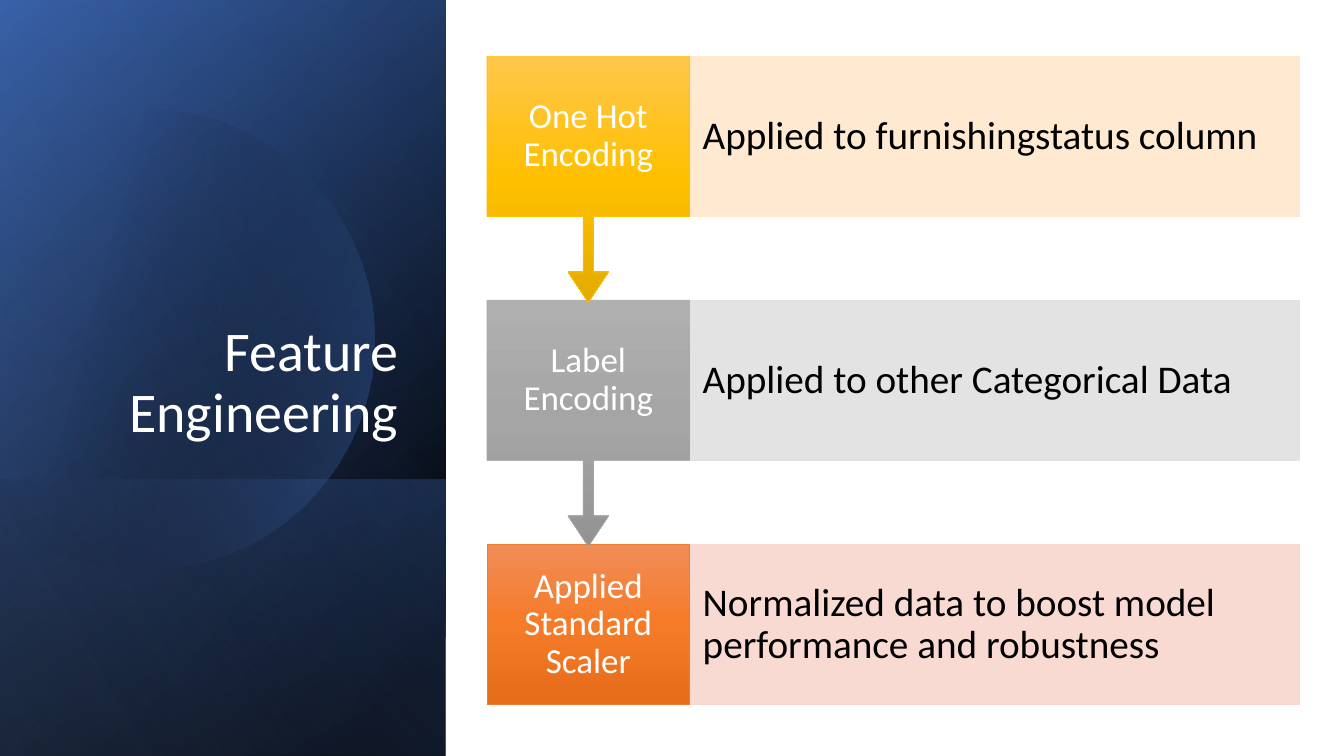
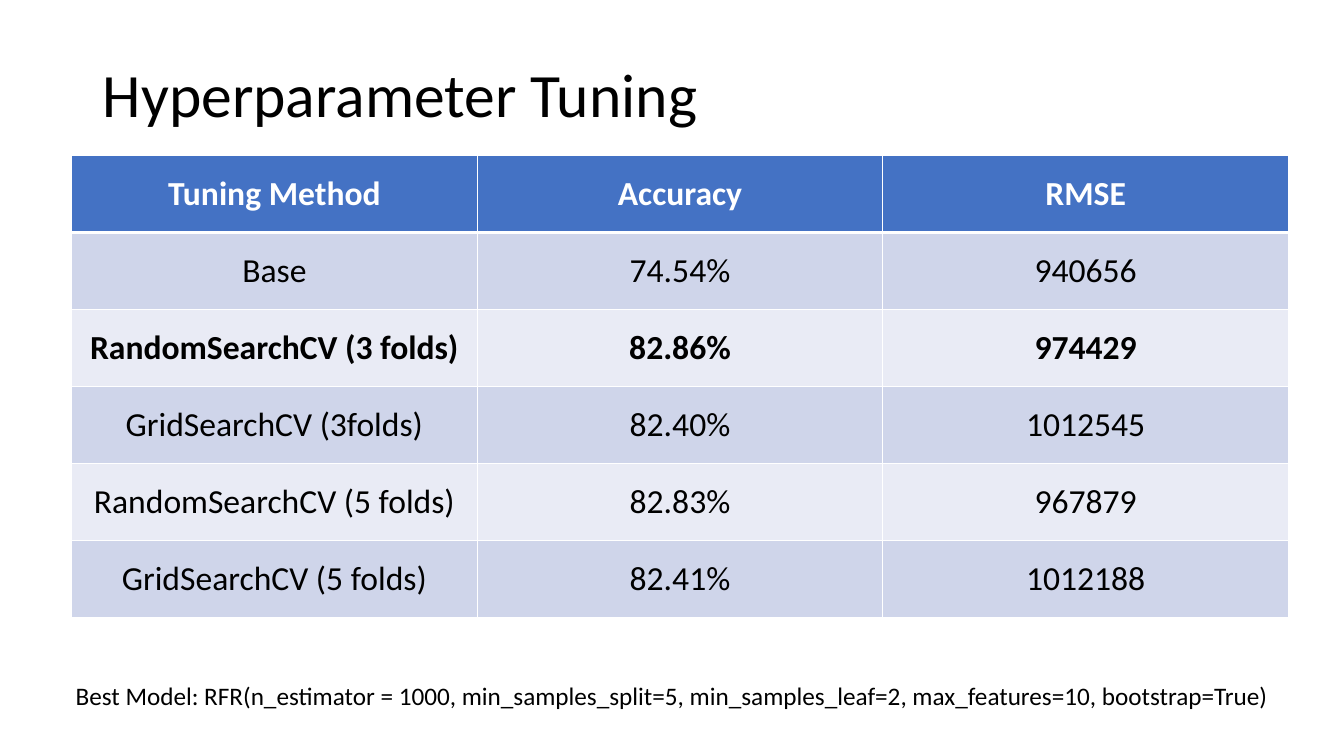
from dataclasses import dataclass
from math import acos, cos, sin

from lxml import etree
from pptx import Presentation
from pptx.dml.color import RGBColor
from pptx.enum.shapes import MSO_SHAPE
from pptx.enum.text import MSO_ANCHOR, MSO_AUTO_SIZE, PP_ALIGN
from pptx.oxml import parse_xml
from pptx.oxml.ns import nsdecls, qn
from pptx.shapes.autoshape import Shape
from pptx.slide import Slide
from pptx.table import _Cell
from pptx.text.text import TextFrame
from pptx.util import Inches, Pt

RECTANGLE = MSO_SHAPE.RECTANGLE
DOWN_CALLOUT = MSO_SHAPE.DOWN_ARROW_CALLOUT
LEFT, CENTER, RIGHT = PP_ALIGN.LEFT, PP_ALIGN.CENTER, PP_ALIGN.RIGHT
TOP, MIDDLE, BOTTOM = MSO_ANCHOR.TOP, MSO_ANCHOR.MIDDLE, MSO_ANCHOR.BOTTOM
NO_FIT = MSO_AUTO_SIZE.NONE

FONT = "Calibri"
BLACK, WHITE, BLUE = "000000", "FFFFFF", "4472C4"
BANDS = ("CFD5EA", "E9EBF5")
TITLE_ONLY = 5


@dataclass(frozen=True)
class Stop:
    position: int
    color: str
    alpha: int = 100


@dataclass(frozen=True)
class Panel:
    left: float
    top: float
    width: float
    height: float
    angle: int
    stops: tuple[Stop, ...]


@dataclass(frozen=True)
class Step:
    label: str
    detail: str
    shades: tuple[str, str, str]
    line: str
    tint: str


@dataclass(frozen=True)
class TextStyle:
    size: int
    color: str = BLACK
    align: PP_ALIGN = LEFT
    anchor: MSO_ANCHOR = MIDDLE
    spacing: float = 1.0
    bold: bool = False
    inset_x: float = 0.1
    inset_y: float = 0.05


PANELS = (
    Panel(-1.54, 1.54, 7.5, 4.42, 50, (Stop(8, BLACK), Stop(100, "2F5597"))),
    Panel(-1.54, 1.54, 7.5, 4.42, 30, (Stop(0, BLACK, 0), Stop(99, BLUE, 46))),
    Panel(0.84, 3.92, 2.74, 4.42, 130, (Stop(2, BLUE, 29), Stop(100, BLACK, 30))),
)
SHEEN = Panel(-1.54, 1.54, 7.5, 4.42, 120, (Stop(0, BLACK, 0), Stop(99, "8FAADC", 11)))
DISC_STOPS = (Stop(29, BLACK, 0), Stop(100, BLUE, 43))

STEPS = (
    Step("One Hot Encoding", "Applied to furnishingstatus column",
         ("FFC64B", "FFC000", "E3AB00"), "FFC000", "FFE8CC"),
    Step("Label Encoding", "Applied to other Categorical Data",
         ("AFAFAF", "A5A5A5", "939393"), "A5A5A5", "E1E1E1"),
    Step("Applied Standard Scaler", "Normalized data to boost model performance and robustness",
         ("F18C57", "F67B28", "E56C19"), "ED7D31", "F8D7CE"),
)
STEP_TOP, STEP_PITCH, STEP_HEIGHT, CALLOUT_HEIGHT = 0.56, 2.42, 1.59, 2.44
LABEL_LEFT, LABEL_WIDTH, DETAIL_LEFT, DETAIL_WIDTH = 4.83, 2.01, 6.85, 6.04
CALLOUT_SHAPE = (0.05, 0.1, 0.15, 0.65)

RESULTS = (
    ("Tuning Method", "Accuracy", "RMSE"),
    ("Base", "74.54%", "940656"),
    ("RandomSearchCV (3 folds)", "82.86%", "974429"),
    ("GridSearchCV (3folds)", "82.40%", "1012545"),
    ("RandomSearchCV (5 folds)", "82.83%", "967879"),
    ("GridSearchCV (5 folds)", "82.41%", "1012188"),
)
BEST_ROW = 2
BEST_MODEL = ("Best Model: RFR(n_estimator = 1000, min_samples_split=5, "
              "min_samples_leaf=2, max_features=10, bootstrap=True)")

LABEL_STYLE = TextStyle(25, WHITE, CENTER, spacing=0.9, inset_x=0.14, inset_y=0.19)
DETAIL_STYLE = TextStyle(28, spacing=0.9, inset_x=0.12, inset_y=0.39)


def rgb(color: str) -> RGBColor:
    return RGBColor.from_string(color)


def write(frame: TextFrame, text: str, style: TextStyle) -> None:
    frame.word_wrap = True
    frame.auto_size = NO_FIT
    frame.vertical_anchor = style.anchor
    frame.margin_left = frame.margin_right = Inches(style.inset_x)
    frame.margin_top = frame.margin_bottom = Inches(style.inset_y)
    write_line(frame, text, style)


def write_line(frame: TextFrame, text: str, style: TextStyle) -> None:
    para = frame.paragraphs[0]
    para.alignment = style.align
    para.line_spacing = style.spacing
    span = para.add_run()
    span.text = text
    span.font.name = FONT
    span.font.size = Pt(style.size)
    span.font.bold = style.bold
    span.font.color.rgb = rgb(style.color)


def add_color(parent: etree._Element, color: str, alpha: int) -> None:
    node = etree.SubElement(parent, qn("a:srgbClr"), val=color)
    if alpha < 100:
        etree.SubElement(node, qn("a:alpha"), val=str(alpha * 1000))


def paint(shape: Shape, stops: tuple[Stop, ...], angle: int = 90) -> None:
    shape.fill.background()
    properties = shape.element.spPr
    if len(stops) == 1:
        fill = parse_xml(f"<a:solidFill {nsdecls('a')}/>")
        add_color(fill, stops[0].color, stops[0].alpha)
    else:
        fill = parse_xml(f'<a:gradFill {nsdecls("a")} rotWithShape="1"/>')
        stop_list = etree.SubElement(fill, qn("a:gsLst"))
        for stop in stops:
            node = etree.SubElement(stop_list, qn("a:gs"), pos=str(stop.position * 1000))
            add_color(node, stop.color, stop.alpha)
        etree.SubElement(fill, qn("a:lin"), ang=str(angle * 60000), scaled="0")
    properties.replace(properties.find(qn("a:noFill")), fill)


def outline(shape: Shape, color: str | None = None) -> None:
    shape.shadow.inherit = False
    if color is None:
        shape.line.fill.background()
    else:
        shape.line.color.rgb = rgb(color)
        shape.line.width = Pt(0.5)


def add_box(page: Slide, kind: MSO_SHAPE, left: float, top: float,
            width: float, height: float, line: str | None = None) -> Shape:
    box = page.shapes.add_shape(kind, Inches(left), Inches(top), Inches(width), Inches(height))
    outline(box, line)
    return box


def add_panel(page: Slide, panel: Panel) -> None:
    box = add_box(page, RECTANGLE, panel.left, panel.top, panel.width, panel.height)
    box.rotation = 90
    box.element.spPr.find(qn("a:xfrm")).set("flipH", "1")
    paint(box, panel.stops, panel.angle)


def add_disc(page: Slide) -> None:
    center_x, center_y, radius, segments = 1.42, 3.37, 2.29, 120
    reach = acos(-center_x / radius)
    angles = [reach * (2 * index / segments - 1) for index in range(segments + 1)]
    points = [(Inches(center_x + radius * cos(angle)), Inches(center_y + radius * sin(angle)))
              for angle in angles]
    builder = page.shapes.build_freeform(*points[0])
    builder.add_line_segments(points[1:], close=True)
    disc = builder.convert_to_shape()
    outline(disc)
    paint(disc, DISC_STOPS, 14)


def add_title(page: Slide, text: str, left: float, top: float, width: float,
              height: float, style: TextStyle) -> None:
    title = page.shapes.title
    title.left, title.top = Inches(left), Inches(top)
    title.width, title.height = Inches(width), Inches(height)
    write(title.text_frame, text, style)
    title.element.getparent().append(title.element)


def add_step(page: Slide, step: Step, top: float, last: bool) -> None:
    kind, height = (RECTANGLE, STEP_HEIGHT) if last else (DOWN_CALLOUT, CALLOUT_HEIGHT)
    label = add_box(page, kind, LABEL_LEFT, top, LABEL_WIDTH, height, step.line)
    if not last:
        for index, value in enumerate(CALLOUT_SHAPE):
            label.adjustments[index] = value
    paint(label, tuple(Stop(50 * index, shade) for index, shade in enumerate(step.shades)))
    write(label.text_frame, step.label, LABEL_STYLE)
    detail = add_box(page, RECTANGLE, DETAIL_LEFT, top, DETAIL_WIDTH, STEP_HEIGHT, step.tint)
    paint(detail, (Stop(0, step.tint, 90),))
    write(detail.text_frame, step.detail, DETAIL_STYLE)


def add_borders(cell: _Cell, top: int, bottom: int) -> None:
    properties = cell._tc.get_or_add_tcPr()
    widths = {"lnL": 1, "lnR": 1, "lnT": top, "lnB": bottom}
    for index, (side, width) in enumerate(widths.items()):
        line = parse_xml(f'<a:{side} {nsdecls("a")} w="{Pt(width)}"/>')
        add_color(etree.SubElement(line, qn("a:solidFill")), WHITE, 100)
        properties.insert(index, line)


def add_results(page: Slide) -> None:
    table = page.shapes.add_table(len(RESULTS), len(RESULTS[0]), Inches(0.71), Inches(1.54),
                                  Inches(12.07), Inches(4.59)).table
    table.horz_banding = False
    for row, values in enumerate(RESULTS):
        header = row == 0
        style = TextStyle(24, WHITE if header else BLACK, CENTER,
                          bold=header or row == BEST_ROW)
        for column, value in enumerate(values):
            cell = table.cell(row, column)
            cell.vertical_anchor = MIDDLE
            cell.fill.solid()
            cell.fill.fore_color.rgb = rgb(BLUE if header else BANDS[(row - 1) % 2])
            add_borders(cell, 3 if row == 1 else 1, 3 if header else 1)
            write_line(cell.text_frame, value, style)


def build_features(page: Slide) -> None:
    for panel in PANELS:
        add_panel(page, panel)
    add_disc(page)
    add_panel(page, SHEEN)
    add_title(page, "Feature Engineering", 0.64, 1.84, 3.41, 2.62,
              TextStyle(40, WHITE, RIGHT, BOTTOM, 0.9))
    last = len(STEPS) - 1
    for index in range(last, -1, -1):
        add_step(page, STEPS[index], STEP_TOP + index * STEP_PITCH, index == last)


def build_tuning(page: Slide) -> None:
    add_title(page, "Hyperparameter Tuning", 0.92, 0.4, 11.5, 1.14, TextStyle(44, spacing=0.9))
    add_results(page)
    note = page.shapes.add_textbox(Inches(0.49), Inches(6.7), Inches(12.35), Inches(0.4))
    write(note.text_frame, BEST_MODEL, TextStyle(18, align=CENTER, anchor=TOP))


def main() -> None:
    deck = Presentation()
    deck.slide_width, deck.slide_height = Inches(13.33), Inches(7.5)
    for build in (build_features, build_tuning):
        build(deck.slides.add_slide(deck.slide_layouts[TITLE_ONLY]))
    deck.save("out.pptx")


if __name__ == "__main__":
    main()
